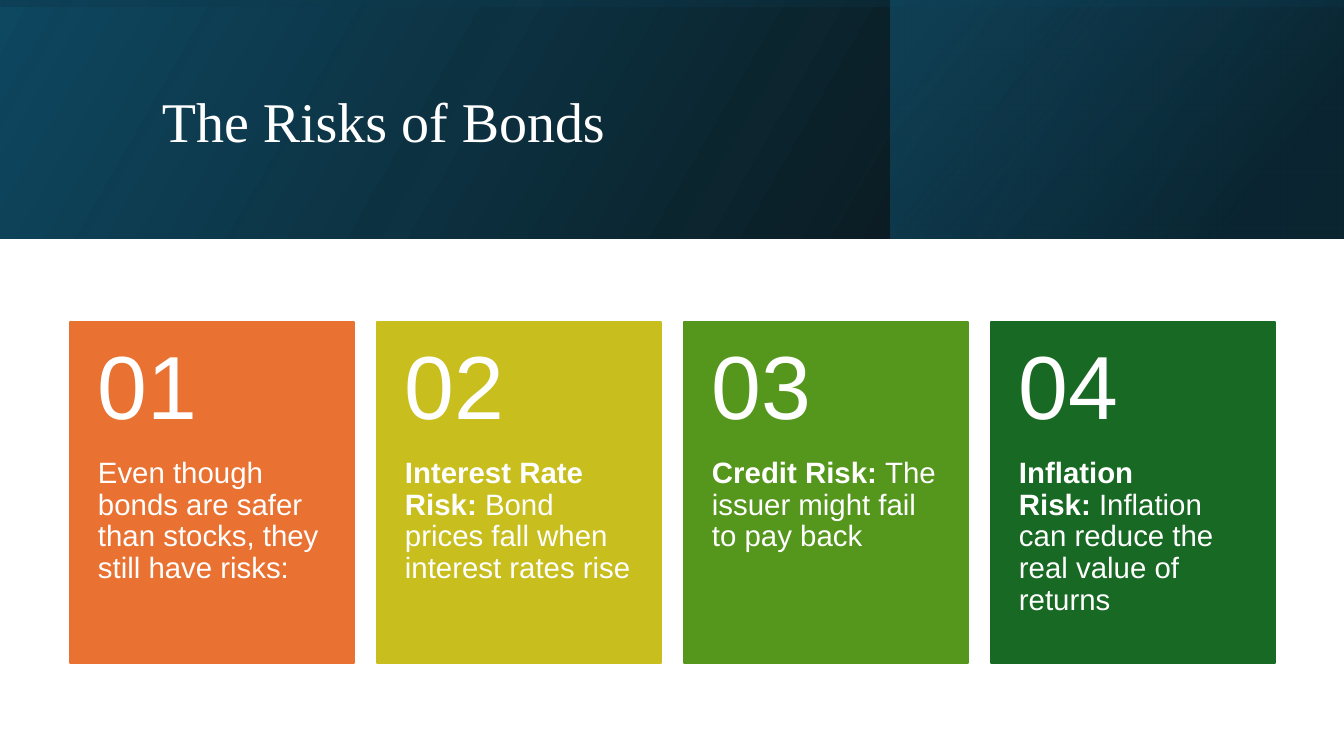
from lxml.etree import SubElement
from pptx import Presentation
from pptx.dml.color import RGBColor
from pptx.enum.shapes import MSO_SHAPE
from pptx.enum.text import MSO_ANCHOR
from pptx.oxml.ns import qn
from pptx.util import Pt

PX = 914400 / 100.8

WHITE = RGBColor(0xFF, 0xFF, 0xFF)
BLACK = RGBColor(0x00, 0x00, 0x00)
DEEP_BLUE = RGBColor(0x0F, 0x48, 0x61)
NIGHT_BLUE = RGBColor(0x0A, 0x30, 0x41)
TEAL = RGBColor(0x15, 0x60, 0x82)
ORANGE = RGBColor(0xE9, 0x71, 0x31)
MUSTARD = RGBColor(0xC8, 0xBE, 0x1E)
GREEN = RGBColor(0x55, 0x97, 0x1D)
DARK_GREEN = RGBColor(0x18, 0x69, 0x23)

SLIDE_W, SLIDE_H = 1344, 756
BANNER_H = 239
CARD_LEFT, CARD_TOP, CARD_W, CARD_H = 70, 322, 284, 341
CARD_PITCH = 307
NUMBER_H = 136
NO_BREAK_SPACE = chr(160)

RISKS = [
    (ORANGE, "", "Even though bonds are safer than stocks, they still have risks:"),
    (MUSTARD, "Interest Rate Risk:", "Bond prices fall when interest rates rise"),
    (GREEN, "Credit Risk:", "The issuer might fail to pay back"),
    (DARK_GREEN, "Inflation Risk:", "Inflation can reduce the real value of returns"),
]


def px(length):
    return round(length * PX)


def add_rectangle(slide, box):
    rectangle = slide.shapes.add_shape(MSO_SHAPE.RECTANGLE, *map(px, box))
    rectangle.shadow.inherit = False
    return rectangle


def add_gradient_band(slide, box, angle, stops, rotation=0):
    band = add_rectangle(slide, box)
    band.rotation = rotation
    band.line.fill.background()
    band.fill.gradient()
    band.fill.gradient_angle = angle
    properties = band._element.spPr
    properties.find(qn("a:xfrm")).set("flipH", "1")
    stop_list = properties.find(qn("a:gradFill")).find(qn("a:gsLst"))
    for stop in list(stop_list):
        stop_list.remove(stop)
    for position, color, opacity in stops:
        stop = SubElement(stop_list, qn("a:gs"), pos=str(position * 1000))
        tint = SubElement(stop, qn("a:srgbClr"), val=str(color))
        SubElement(tint, qn("a:alpha"), val=str(opacity * 1000))


def add_text(slide, box, runs, size, font, insets, anchor=MSO_ANCHOR.TOP):
    frame = slide.shapes.add_textbox(*map(px, box)).text_frame
    frame.word_wrap = True
    frame.vertical_anchor = anchor
    side, top, bottom = map(px, insets)
    frame.margin_left = frame.margin_right = side
    frame.margin_top, frame.margin_bottom = top, bottom
    paragraph = frame.paragraphs[0]
    paragraph.line_spacing = 0.9
    for text, bold in runs:
        run = paragraph.add_run()
        run.text = text
        run.font.size = Pt(size)
        run.font.name = font
        run.font.bold = bold
        run.font.color.rgb = WHITE


def add_banner(slide):
    add_gradient_band(slide, (0, 0, SLIDE_W, BANNER_H), 30,
                      [(0, BLACK, 96), (100, DEEP_BLUE, 100)])
    add_gradient_band(slide, (891, 0, 452, BANNER_H), 40,
                      [(0, NIGHT_BLUE, 68), (19, NIGHT_BLUE, 68), (100, TEAL, 48)])
    turned_left = (SLIDE_W - BANNER_H) / 2
    add_gradient_band(slide, (turned_left, -turned_left, BANNER_H, SLIDE_W), 10,
                      [(0, DEEP_BLUE, 16), (23, DEEP_BLUE, 16),
                       (99, BLACK, 45), (100, BLACK, 45)], rotation=270)
    add_text(slide, (152, 38, 1071, 173), [("The Risks of Bonds", False)],
             40, "Times New Roman", (10, 5, 5), MSO_ANCHOR.MIDDLE)


def add_risk_card(slide, index, color, heading, detail):
    left = CARD_LEFT + index * CARD_PITCH
    card = add_rectangle(slide, (left, CARD_TOP, CARD_W, CARD_H))
    card.fill.solid()
    card.fill.fore_color.rgb = color
    card.line.color.rgb = color
    card.line.width = Pt(1.5)
    if heading:
        runs = [(heading, True), (NO_BREAK_SPACE + detail, False)]
    else:
        runs = [(detail, False)]
    add_text(slide, (left, CARD_TOP + NUMBER_H, CARD_W, CARD_H - NUMBER_H),
             runs, 21, "Arial", (28, 0, 36))
    add_text(slide, (left, CARD_TOP, CARD_W, NUMBER_H), [(f"{index + 1:02}", False)],
             64, "Arial", (28, 18, 18), MSO_ANCHOR.MIDDLE)


def main():
    presentation = Presentation()
    presentation.slide_width = px(SLIDE_W)
    presentation.slide_height = px(SLIDE_H)
    slide = presentation.slides.add_slide(presentation.slide_layouts[6])
    add_banner(slide)
    for index, (color, heading, detail) in enumerate(RISKS):
        add_risk_card(slide, index, color, heading, detail)
    presentation.save("out.pptx")


if __name__ == "__main__":
    main()
